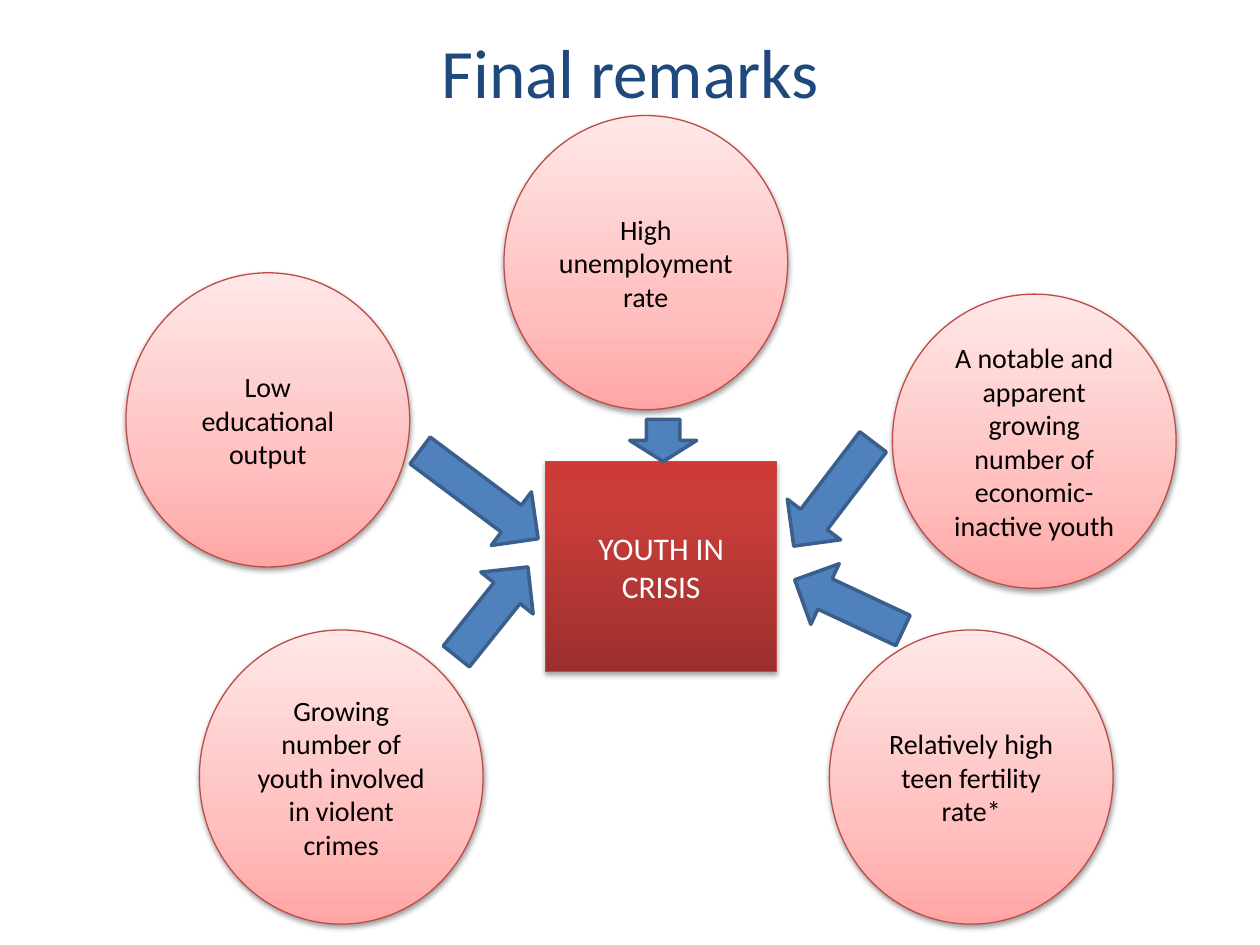
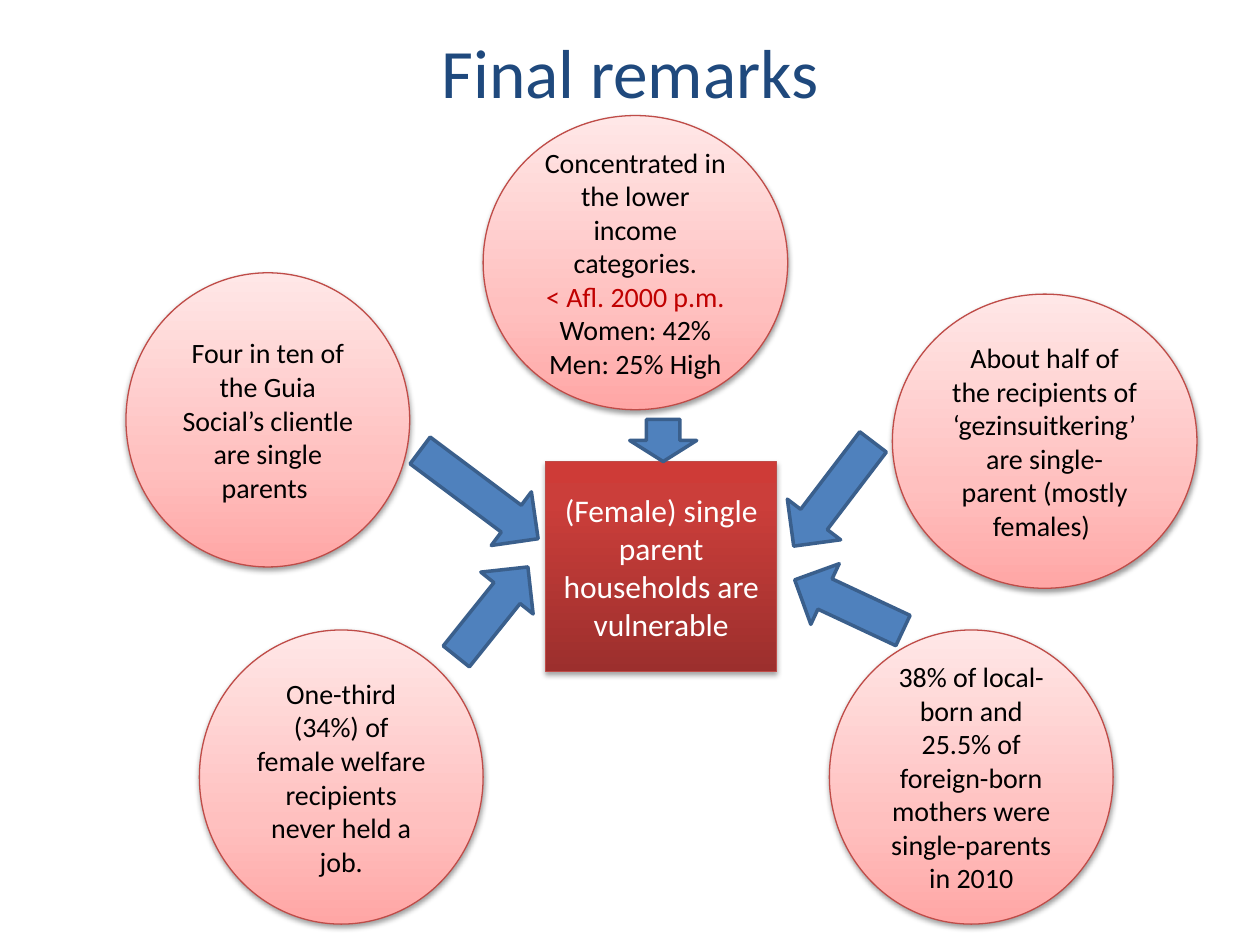
"""Build two slides of five causes in circles, each pointing at one central box."""
from dataclasses import dataclass

from lxml.etree import SubElement
from pptx import Presentation
from pptx.dml.color import RGBColor
from pptx.enum.shapes import MSO_SHAPE
from pptx.enum.text import MSO_ANCHOR, MSO_AUTO_SIZE, PP_ALIGN
from pptx.oxml.ns import qn
from pptx.util import Cm, Pt


@dataclass(frozen=True)
class Theme:
    font: str = "Calibri"
    title: str = "1F497D"
    dark: str = "000000"
    light: str = "FFFFFF"
    accent: str = "C00000"
    outline: str = "BF4C48"
    arrow: str = "4F81BD"
    arrow_outline: str = "3A5F8C"
    circle_stops: tuple = ((0, "FFA6A5"), (35, "FFC0BF"), (100, "FFE7E7"))
    center_stops: tuple = ((0, "9C2F2D"), (80, "CB3E3A"), (100, "CE3B37"))
    title_size: float = 39.6
    center_size: float = 18
    circle_size: float = 16


THEME = Theme()
TITLE = "Final remarks"

SLIDES = [
    {
        "center": "YOUTH IN CRISIS",
        "top": "High unemployment rate",
        "left": "Low educational output",
        "right": "A notable and apparent growing number of economic-inactive youth",
        "bottom left": "Growing number of youth involved in violent crimes",
        "bottom right": "Relatively high teen fertility rate*",
        "wide": {},
    },
    {
        "center": "(Female) single parent households are vulnerable",
        "top": [
            [("Concentrated in the lower income categories.", THEME.dark)],
            [("< Afl. 2000 p.m.", THEME.accent), (" Women: 42%", THEME.dark)],
            [("Men: 25% High", THEME.dark)],
        ],
        "left": "Four in ten of the Guia Social’s clientle are single parents ",
        "right": "About half of the recipients of ‘gezinsuitkering’ are single-parent (mostly females) ",
        "bottom left": "One-third (34%) of female welfare recipients never held a job.",
        "bottom right": "38% of local- born and 25.5% of foreign-born mothers were single-parents in 2010",
        "wide": {"top": -0.42, "right": 0},
    },
]

TITLE_BOX = (1.27, 0.76, 22.86, 1.35)
CENTER_BOX = (11, 9.31, 4.66, 4.23)
CIRCLE_WIDTH, CIRCLE_HEIGHT = 5.72, 5.93
EXTRA_WIDTH = 0.42
CIRCLE_CORNERS = {
    "top": (10.16, 2.33),
    "left": (2.54, 5.5),
    "right": (17.99, 5.93),
    "bottom left": (4.02, 12.7),
    "bottom right": (16.72, 12.7),
}
ARROW_WIDTH = 1.35
ARROWS = [  # center x, center y, length, rotation
    (13.37, 8.88, 0.85, 0),
    (9.66, 9.97, 2.97, 306.8),
    (16.8, 9.96, 2.64, 37.3),
    (9.92, 12.33, 2.31, 218.7),
    (17.11, 12.2, 2.41, 115.1),
]


def add_text(shape, content, size, color):
    """Write centred paragraphs; a plain string is one paragraph of one run."""
    paragraphs = [[(content, color)]] if isinstance(content, str) else content
    frame = shape.text_frame
    frame.word_wrap = True
    frame.auto_size = MSO_AUTO_SIZE.NONE
    frame.vertical_anchor = MSO_ANCHOR.MIDDLE
    for index, spans in enumerate(paragraphs):
        para = frame.add_paragraph() if index else frame.paragraphs[0]
        para.alignment = PP_ALIGN.CENTER
        for text, span_color in spans:
            span = para.add_run()
            span.text = text
            span.font.name = THEME.font
            span.font.size = Pt(size)
            span.font.color.rgb = RGBColor.from_string(span_color)


def add_outlined(page, kind, box, outline, width):
    """Add a preset shape with an outline and no inherited shadow."""
    shape = page.shapes.add_shape(kind, *map(Cm, box))
    shape.shadow.inherit = False
    shape.line.color.rgb = RGBColor.from_string(outline)
    shape.line.width = Pt(width)
    return shape


def set_gradient(shape, stops):
    """Fill the shape from bottom to top with the given colour stops."""
    shape.fill.gradient()
    shape.fill.gradient_angle = 90
    stop_list = shape._element.spPr.find(qn("a:gradFill")).find(qn("a:gsLst"))
    for old_stop in list(stop_list):
        stop_list.remove(old_stop)
    for position, color in stops:
        stop = SubElement(stop_list, qn("a:gs"), pos=str(position * 1000))
        SubElement(stop, qn("a:srgbClr"), val=color)


def set_shadow(shape, distance, opacity):
    """Drop a soft shadow straight below the shape."""
    effects = shape._element.spPr.find(qn("a:effectLst"))
    shadow = SubElement(effects, qn("a:outerShdw"), blurRad=str(Pt(3.1)),
                        dist=str(Pt(distance)), dir="5400000", rotWithShape="0")
    color = SubElement(shadow, qn("a:srgbClr"), val=THEME.dark)
    SubElement(color, qn("a:alpha"), val=str(opacity * 1000))


def add_circle(page, content, box):
    """Add one cause."""
    circle = add_outlined(page, MSO_SHAPE.OVAL, box, THEME.outline, 0.75)
    set_gradient(circle, THEME.circle_stops)
    set_shadow(circle, 1.6, 38)
    add_text(circle, content, THEME.circle_size, THEME.dark)


def add_center(page, content):
    """Add the box that all arrows point at."""
    center = add_outlined(page, MSO_SHAPE.RECTANGLE, CENTER_BOX, THEME.outline, 0.75)
    set_gradient(center, THEME.center_stops)
    set_shadow(center, 1.8, 35)
    add_text(center, content, THEME.center_size, THEME.light)


def add_arrow(page, center_x, center_y, length, rotation):
    """Add a block arrow turned about its centre."""
    box = (center_x - ARROW_WIDTH / 2, center_y - length / 2, ARROW_WIDTH, length)
    arrow = add_outlined(page, MSO_SHAPE.DOWN_ARROW, box, THEME.arrow_outline, 2)
    arrow.fill.solid()
    arrow.fill.fore_color.rgb = RGBColor.from_string(THEME.arrow)
    arrow.rotation = rotation


def add_page(deck, content):
    """Add one slide: title, central box, circles and arrows."""
    page = deck.slides.add_slide(deck.slide_layouts[5])
    title = page.shapes.title
    title.left, title.top, title.width, title.height = map(Cm, TITLE_BOX)
    add_text(title, TITLE, THEME.title_size, THEME.title)
    add_center(page, content["center"])
    for name, (left, top) in CIRCLE_CORNERS.items():
        shift = content["wide"].get(name, 0)
        extra = EXTRA_WIDTH if name in content["wide"] else 0
        add_circle(page, content[name],
                   (left + shift, top, CIRCLE_WIDTH + extra, CIRCLE_HEIGHT))
    for arrow in ARROWS:
        add_arrow(page, *arrow)


def main():
    """Build and save the deck."""
    deck = Presentation()
    deck.slide_width, deck.slide_height = Cm(25.4), Cm(19.05)
    for content in SLIDES:
        add_page(deck, content)
    deck.save("out.pptx")


if __name__ == "__main__":
    main()
